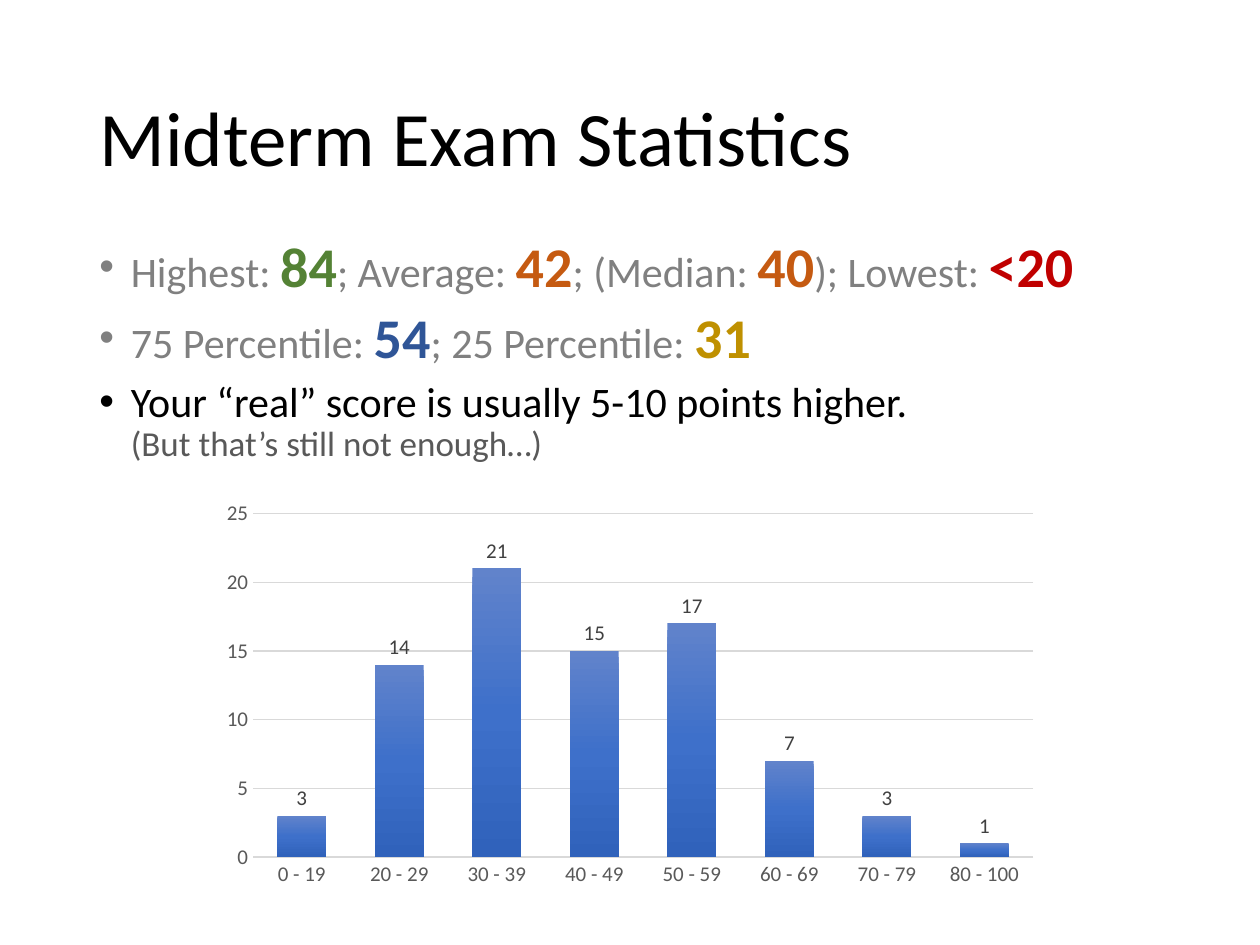
from copy import deepcopy

from lxml.etree import SubElement
from pptx import Presentation
from pptx.chart.data import CategoryChartData
from pptx.dml.color import RGBColor
from pptx.enum.chart import XL_CHART_TYPE, XL_LABEL_POSITION, XL_TICK_MARK
from pptx.enum.text import MSO_ANCHOR
from pptx.oxml.ns import qn
from pptx.util import Emu, Pt

PX = 914400 / 126
FONT = "Calibri"
BLACK = RGBColor(0x00, 0x00, 0x00)
GRAY = RGBColor(0x80, 0x80, 0x80)
DARK_GRAY = RGBColor(0x59, 0x59, 0x59)
LABEL_GRAY = RGBColor(0x40, 0x40, 0x40)
LINE_GRAY = RGBColor(0xD9, 0xD9, 0xD9)
GREEN = RGBColor(0x54, 0x82, 0x35)
ORANGE = RGBColor(0xC5, 0x5A, 0x11)
RED = RGBColor(0xC0, 0x00, 0x00)
BLUE = RGBColor(0x2F, 0x55, 0x97)
GOLD = RGBColor(0xBF, 0x90, 0x00)
BAR_GRADIENT = [
    (0, RGBColor(0x61, 0x83, 0xCB)),
    (0.5, RGBColor(0x3E, 0x70, 0xCA)),
    (1, RGBColor(0x30, 0x62, 0xBB)),
]


def px(length):
    return Emu(round(length * PX))


def plain(text):
    return text, 24, GRAY, False


def score(text, color):
    return text, 32, color, True


class SlideBuilder:
    def __init__(self, slide):
        self.slide = slide

    def style(self, font, size, color, bold=False):
        font.name = FONT
        font.size = Pt(size)
        font.color.rgb = color
        font.bold = bold

    def text_frame(self, left, top, width, height):
        box = self.slide.shapes.add_textbox(px(left), px(top), px(width), px(height))
        box.text_frame.word_wrap = True
        return box.text_frame

    def title(self, text, *bounds):
        frame = self.text_frame(*bounds)
        frame.vertical_anchor = MSO_ANCHOR.MIDDLE
        frame.text = text
        paragraph = frame.paragraphs[0]
        paragraph.line_spacing = 0.9
        self.style(paragraph.runs[0].font, 44, BLACK)

    def bullets(self, lines, *bounds):
        frame = self.text_frame(*bounds)
        for index, line in enumerate(lines):
            paragraph = frame.add_paragraph() if index else frame.paragraphs[0]
            paragraph.line_spacing = 0.9
            paragraph.space_before = Pt(6 if index else 0)
            self.bullet(paragraph)
            for part in line:
                if part is None:
                    paragraph.add_line_break()
                    continue
                text, size, color, bold = part
                run = paragraph.add_run()
                run.text = text
                self.style(run.font, size, color, bold)

    def bullet(self, paragraph):
        properties = paragraph._p.get_or_add_pPr()
        indent = Pt(18)
        properties.set("marL", str(indent))
        properties.set("indent", str(-indent))
        SubElement(properties, qn("a:buFont")).set("typeface", "Arial")
        SubElement(properties, qn("a:buChar")).set("char", "•")

    def column_chart(self, categories, values, *bounds):
        data = CategoryChartData()
        data.categories = categories
        data.add_series("Series 1", values)
        chart = self.slide.shapes.add_chart(
            XL_CHART_TYPE.COLUMN_CLUSTERED, *map(px, bounds), data
        ).chart
        self.style(chart.font, 10, BLACK)
        chart.has_legend = False
        chart.has_title = False
        plot = chart.plots[0]
        plot.vary_by_categories = False
        plot.gap_width = 100
        plot.overlap = -24
        self.axes(chart)
        self.gradient(plot.series[0])
        labels = plot.series[0].data_labels
        labels.show_value = True
        labels.position = XL_LABEL_POSITION.OUTSIDE_END
        self.style(labels.font, 12, LABEL_GRAY)

    def axes(self, chart):
        for axis in (chart.category_axis, chart.value_axis):
            axis.major_tick_mark = XL_TICK_MARK.NONE
            axis.minor_tick_mark = XL_TICK_MARK.NONE
            self.style(axis.tick_labels.font, 12, DARK_GRAY)
        category_line = chart.category_axis.format.line
        category_line.color.rgb = LINE_GRAY
        category_line.width = Pt(1)
        value_axis = chart.value_axis
        value_axis.minimum_scale = 0
        value_axis.maximum_scale = 25
        value_axis.major_unit = 5
        value_axis.format.line.fill.background()
        grid_line = value_axis.major_gridlines.format.line
        grid_line.color.rgb = LINE_GRAY
        grid_line.width = Pt(0.75)

    def gradient(self, series):
        fill = series.format.fill
        fill.gradient()
        fill.gradient_angle = 270
        first_stop = next(series._element.iter(qn("a:gs")))
        first_stop.addnext(deepcopy(first_stop))
        for stop, (position, color) in zip(fill.gradient_stops, BAR_GRADIENT):
            stop.position = position
            stop.color.rgb = color


def main():
    presentation = Presentation()
    presentation.slide_width = px(1260)
    presentation.slide_height = px(945)
    builder = SlideBuilder(presentation.slides.add_slide(presentation.slide_layouts[6]))

    builder.title("Midterm Exam Statistics", 87, 50, 1086, 183)
    builder.bullets(
        [
            [
                plain("Highest: "), score("84", GREEN),
                plain("; Average: "), score("42", ORANGE),
                plain("; (Median: "), score("40", ORANGE),
                plain("); Lowest: "), score("<20", RED),
            ],
            [
                plain("75 Percentile: "), score("54", BLUE),
                plain("; 25 Percentile: "), score("31", GOLD),
            ],
            [
                ("Your “real” score is usually 5-10 points higher.", 24, BLACK, False),
                None,
                ("(But that’s still not enough…)", 20, DARK_GRAY, False),
            ],
        ],
        87, 233, 1086, 661,
    )
    builder.column_chart(
        ["0 - 19", "20 - 29", "30 - 39", "40 - 49",
         "50 - 59", "60 - 69", "70 - 79", "80 - 100"],
        [3, 14, 21, 15, 17, 7, 3, 1],
        210, 493, 840, 402,
    )
    presentation.save("out.pptx")


if __name__ == "__main__":
    main()
